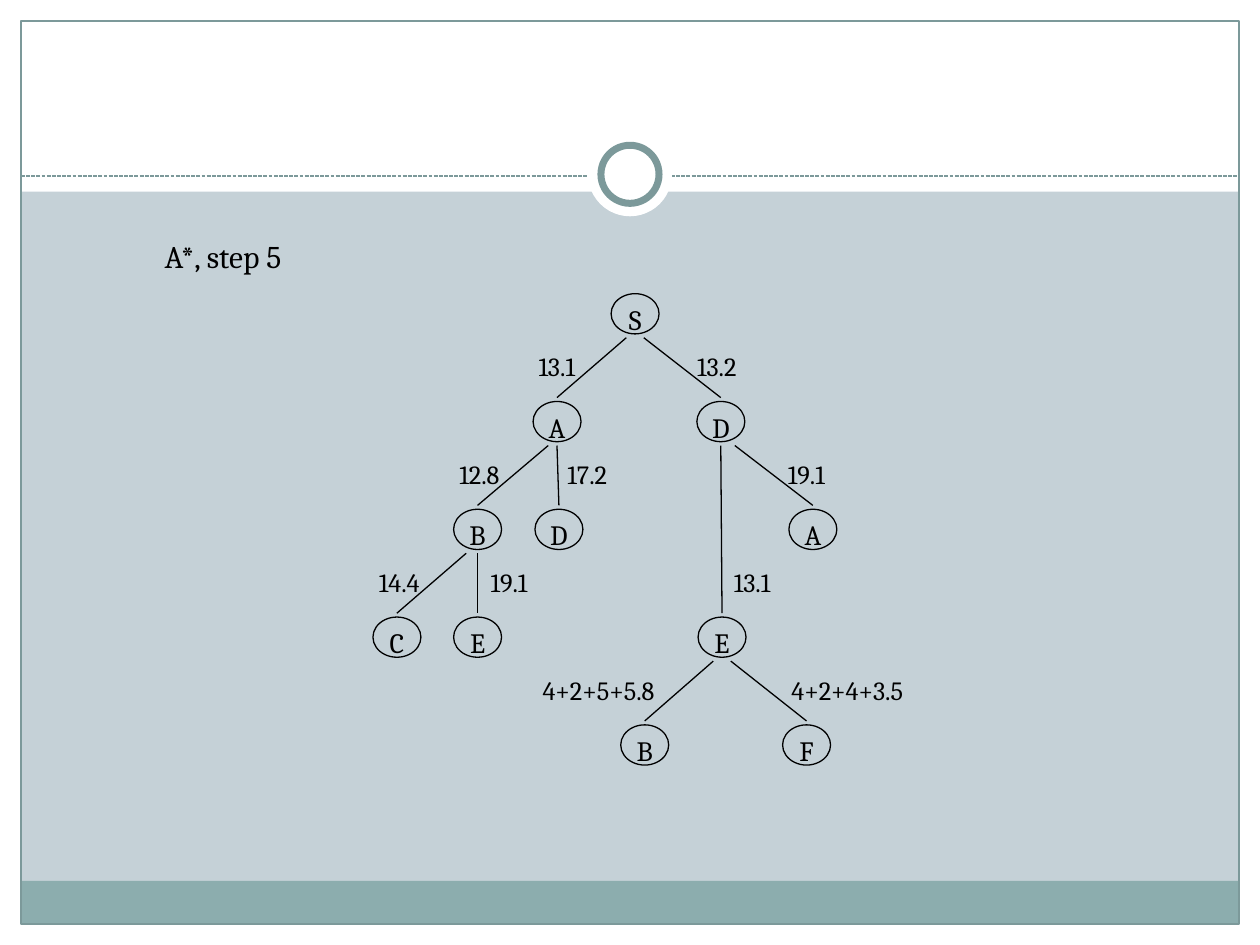
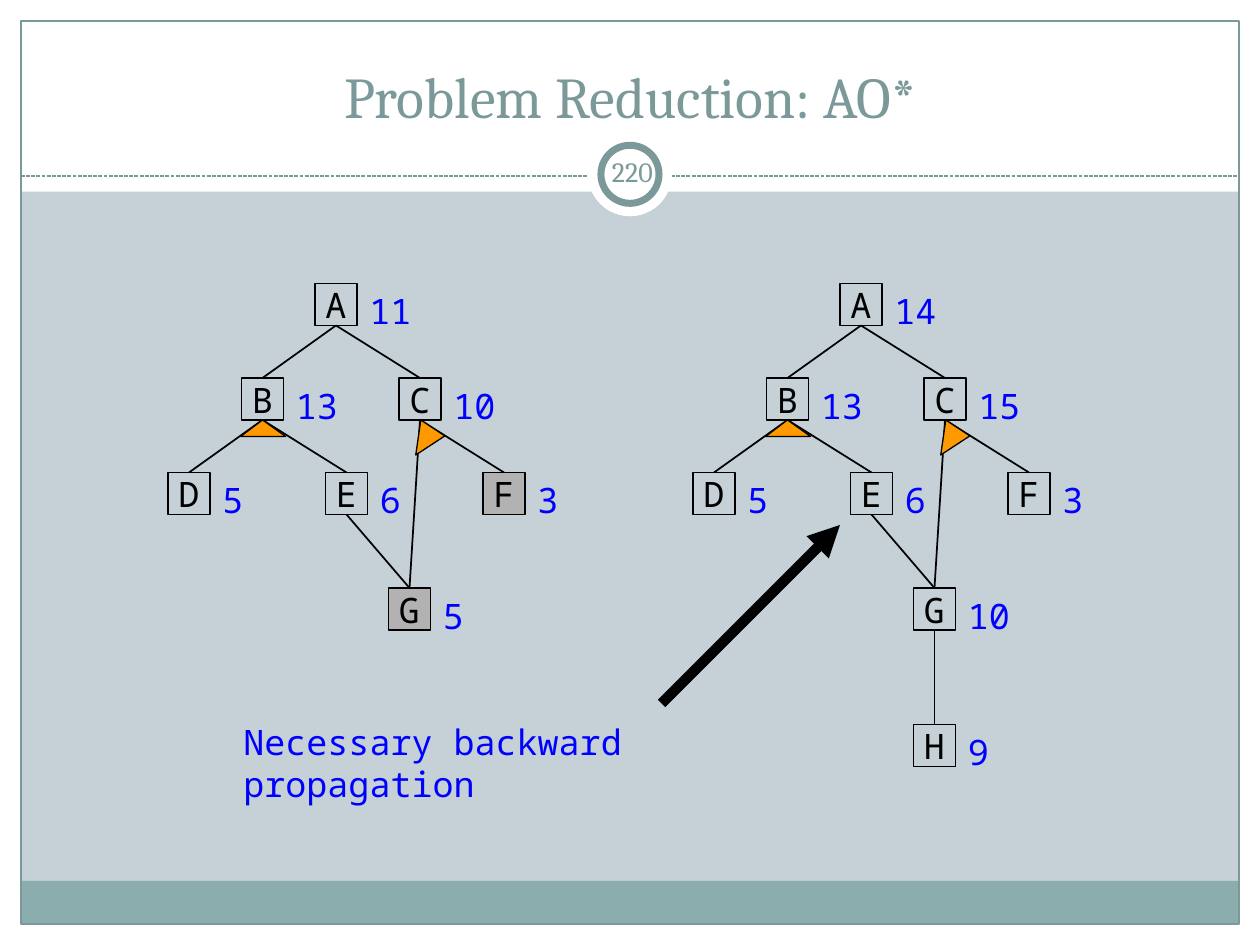
"""Build two search-algorithm slides: an A* tree and an AO* problem reduction."""
from dataclasses import dataclass

from lxml import etree
from pptx import Presentation
from pptx.dml.color import RGBColor
from pptx.enum.dml import MSO_LINE
from pptx.enum.shapes import MSO_CONNECTOR, MSO_SHAPE
from pptx.enum.text import MSO_ANCHOR as ANCHOR, PP_ALIGN as ALIGN
from pptx.oxml.ns import qn
from pptx.util import Pt


@dataclass(frozen=True)
class Theme:
    background: str = "C5D1D7"
    white: str = "FFFFFF"
    band: str = "8CADAE"
    accent: str = "7C999A"
    ink: str = "000000"
    value: str = "0000FF"
    solved: str = "B2B2B2"
    fan: str = "FF9900"
    serif: str = "Cambria"
    mono: str = "Noto Sans Mono"
    title_size: float = 33
    node_size: float = 20
    caption_size: float = 18
    circle_size: float = 16
    cost_size: float = 15
    hairline: float = 0.75


T = Theme()
WIDTH, HEIGHT, MARGIN = 720, 540, 12
INSETS = (7.2, 3.6, 7.2, 3.6)

CIRCLE_W, CIRCLE_H = 27.4, 23
CIRCLE_TOP, ROW_STEP, EDGE_GAP = 167.8, 61.6, 2.2
CIRCLES = {
    "S": ("S", 349.2, 0),
    "SA": ("A", 304.6, 1), "SD": ("D", 398.2, 1),
    "SAB": ("B", 259.2, 2), "SAD": ("D", 305.7, 2), "SDA": ("A", 450.8, 2),
    "SABC": ("C", 213.1, 3), "SABE": ("E", 259.2, 3), "SDE": ("E", 398.9, 3),
    "SDEB": ("B", 354.7, 4), "SDEF": ("F", 447.2, 4),
}
# parent, child, start shift, cost, cost left, cost width
EDGES = [
    ("S", "SA", -5, "13.1", 296.6, 43.2),
    ("S", "SD", 5, "13.2", 388, 43.2),
    ("SA", "SAB", -5, "12.8", 252.4, 43.2),
    ("SA", "SAD", 0, "17.2", 314, 43.2),
    ("SD", "SDA", 8, "19.1", 439.2, 43.2),
    ("SD", "SDE", 0, "13.1", 408.2, 43.2),
    ("SAB", "SABC", -6.5, "14.4", 206.6, 43.2),
    ("SAB", "SABE", 0, "19.1", 269.3, 43.2),
    ("SDE", "SDEB", -5, "4+2+5+5.8", 293.8, 96.5),
    ("SDE", "SDEF", 5, "4+2+4+3.5", 434.9, 98.6),
]

BOX = 24
BOXES = {
    "A": (180, 162), "B": (138, 216), "C": (228, 216), "D": (96, 270),
    "E": (186, 270), "F": (276, 270), "G": (222, 336), "H": (222, 414),
}
LINKS = ["AB", "AC", "BD", "BE", "CF", "CG", "EG", "GH"]
FANS = {
    "B": [(0, 0), (-12.5, 9.4), (13.2, 9.4)],
    "C": [(0.5, 0), (-2.4, 20), (14.2, 9.1)],
}


def rgb(color):
    """Return the RGB value of a hex colour."""
    return RGBColor.from_string(color)


def write(sp, text, size, color=T.ink, font=T.serif, align=ALIGN.LEFT,
          anchor=ANCHOR.TOP, insets=INSETS, wrap=True):
    """Put one formatted paragraph into a shape."""
    tf = sp.text_frame
    tf.word_wrap = wrap
    tf.vertical_anchor = anchor
    tf.margin_left, tf.margin_top, tf.margin_right, tf.margin_bottom = map(Pt, insets)
    p = tf.paragraphs[0]
    p.text = text
    p.alignment = align
    for r in p.runs:
        r.font.name, r.font.size = font, Pt(size)
        r.font.color.rgb = rgb(color)


def paint(sp, fill=None, line=None, weight=T.hairline):
    """Set the fill and outline of a shape and drop its shadow."""
    sp.shadow.inherit = False
    if fill:
        sp.fill.solid()
        sp.fill.fore_color.rgb = rgb(fill)
    else:
        sp.fill.background()
    if line:
        sp.line.color.rgb = rgb(line)
        sp.line.width = Pt(weight)
    else:
        sp.line.fill.background()


def add_shape(s, kind, at, fill=None, line=None, weight=T.hairline):
    """Add a preset shape at (left, top, width, height)."""
    sp = s.shapes.add_shape(kind, *map(Pt, at))
    paint(sp, fill, line, weight)
    return sp


def add_text(s, at, text, size, **style):
    """Add a text box at (left, top, width, height)."""
    write(s.shapes.add_textbox(*map(Pt, at)), text, size, **style)


def add_line(s, start=(0, 0), end=(0, 0), color=T.ink, weight=T.hairline):
    """Add a straight connector without a shadow."""
    cx = s.shapes.add_connector(MSO_CONNECTOR.STRAIGHT, *map(Pt, (*start, *end)))
    cx.line.color.rgb = rgb(color)
    cx.line.width = Pt(weight)
    etree.SubElement(cx._element.spPr, qn("a:effectLst"))
    return cx


def add_arrow(s, start, end, weight):
    """Add a connector with a triangle at its end."""
    cx = add_line(s, start, end, weight=weight)
    etree.SubElement(cx.line._get_or_add_ln(), qn("a:tailEnd"), type="triangle")


def add_slide(prs):
    """Add a blank slide with the shared frame, bands and ring."""
    s = prs.slides.add_slide(prs.slide_layouts[6])
    s.background.fill.solid()
    s.background.fill.fore_color.rgb = rgb(T.background)
    inner_w, inner_h = WIDTH - 2 * MARGIN, HEIGHT - 2 * MARGIN
    for at in [(0, HEIGHT - MARGIN, WIDTH, MARGIN), (0, 0, WIDTH, 109.5),
               (0, 0, MARGIN, HEIGHT), (WIDTH - MARGIN, 0, MARGIN, HEIGHT)]:
        add_shape(s, MSO_SHAPE.RECTANGLE, at, T.white)
    add_shape(s, MSO_SHAPE.RECTANGLE, (MARGIN, 503.3, inner_w, 24.7), T.band)
    add_shape(s, MSO_SHAPE.RECTANGLE, (MARGIN, MARGIN, inner_w, inner_h), line=T.accent)
    rule = add_line(s, (MARGIN, 100.6), (WIDTH - MARGIN, 100.6), T.accent)
    rule.line.dash_style = MSO_LINE.SQUARE_DOT
    add_shape(s, MSO_SHAPE.OVAL, (336, 75.6, 48, 48), T.white)
    add_shape(s, MSO_SHAPE.OVAL, (343.4, 83, 33.2, 33.2), T.white, T.accent, 4)
    return s


def add_heading(s, title, number):
    """Add the slide title and the number inside the ring."""
    add_text(s, (343.4, 80.6, 36, 34.6), number, T.circle_size, color=T.accent,
             align=ALIGN.CENTER, anchor=ANCHOR.MIDDLE, insets=(3.6,) * 4)
    add_text(s, (24, 18, 672, 60), title, T.title_size, color=T.accent,
             align=ALIGN.CENTER, anchor=ANCHOR.BOTTOM)


def add_search_tree(s):
    """Draw the A* tree with its costs."""
    spots = {}
    for key, (letter, left, row) in CIRCLES.items():
        top = CIRCLE_TOP + row * ROW_STEP
        sp = add_shape(s, MSO_SHAPE.OVAL, (left, top, CIRCLE_W, CIRCLE_H), line=T.ink)
        write(sp, letter, T.circle_size, align=ALIGN.CENTER, anchor=ANCHOR.MIDDLE,
              insets=(0, 6, 0, 0), wrap=False)
        spots[key] = left + CIRCLE_W / 2, top
    for parent, child, shift, cost, left, width in EDGES:
        (px, py), (cx, cy) = spots[parent], spots[child]
        add_line(s, (px + shift, py + CIRCLE_H + EDGE_GAP), (cx, cy - EDGE_GAP))
        add_text(s, (left, cy - 32.6, width, 21.6), cost, T.cost_size,
                 align=ALIGN.CENTER)


def add_fan(s, x, y, points):
    """Draw the AND marker below a node whose bottom middle is (x, y)."""
    corners = [(Pt(x + dx), Pt(y + dy)) for dx, dy in points]
    fb = s.shapes.build_freeform(*corners[0])
    fb.add_line_segments(corners[1:], close=True)
    paint(fb.convert_to_shape(), T.fan, T.ink)


def add_and_or_graph(s, dx, values, solved=""):
    """Draw one AND-OR graph, shifted right by dx, with a value per node."""
    nodes = {}
    for name, value in values.items():
        left, top = BOXES[name][0] + dx, BOXES[name][1]
        sp = add_shape(s, MSO_SHAPE.RECTANGLE, (left, top, BOX, BOX),
                       T.solved if name in solved else None, T.ink, 1)
        write(sp, name, T.node_size, font=T.mono, align=ALIGN.CENTER,
              anchor=ANCHOR.MIDDLE, wrap=False)
        add_text(s, (left + BOX, top, 18 + 12 * len(value), 31), value, T.node_size,
                 color=T.value, font=T.mono)
        nodes[name] = sp
    for parent, child in LINKS:
        if child in nodes:
            cx = add_line(s, weight=1)
            cx.begin_connect(nodes[parent], 2)
            cx.end_connect(nodes[child], 0)
    for name, points in FANS.items():
        left, top = BOXES[name]
        add_fan(s, left + dx + BOX / 2, top + BOX, points)


def main():
    """Build both slides and save the file."""
    prs = Presentation()
    prs.slide_width, prs.slide_height = Pt(WIDTH), Pt(HEIGHT)

    s = add_slide(prs)
    add_text(s, (87, 131.8, 90.7, 28), "A*, step 5", T.caption_size)
    add_search_tree(s)

    s = add_slide(prs)
    add_heading(s, "Problem Reduction: AO*", "220")
    add_and_or_graph(s, 0, {"A": "11", "B": "13", "C": "10", "D": "5", "E": "6",
                            "F": "3", "G": "5"}, solved="FG")
    add_and_or_graph(s, 300, {"A": "14", "B": "13", "C": "15", "D": "5", "E": "6",
                              "F": "3", "G": "10", "H": "9"})
    add_text(s, (132, 408, 342, 55), "Necessary backward propagation", T.node_size,
             color=T.value, font=T.mono)
    add_arrow(s, (378, 402), (480, 300), 6)

    prs.save("out.pptx")


if __name__ == "__main__":
    main()
